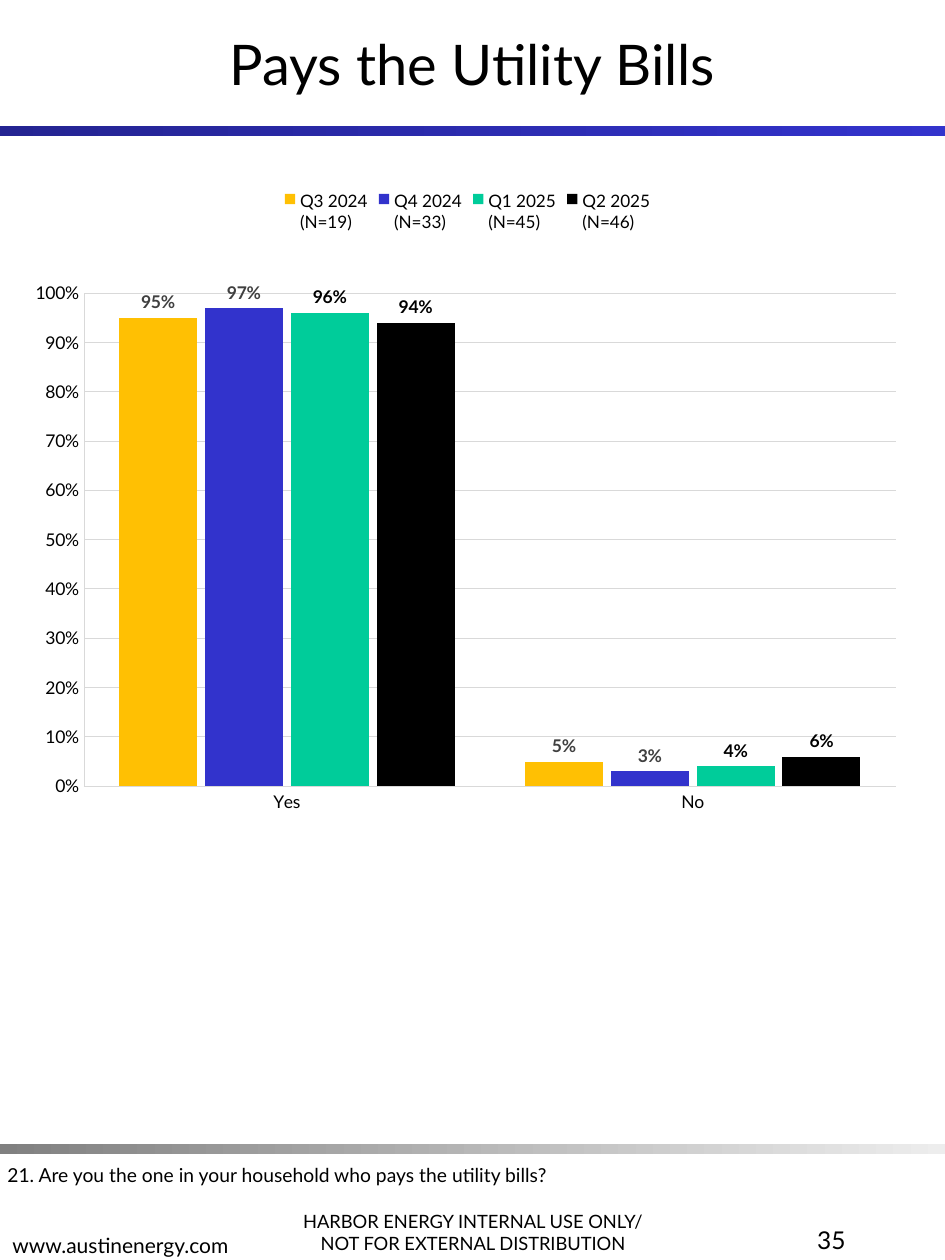
from lxml import etree
from pptx import Presentation
from pptx.chart.data import CategoryChartData
from pptx.dml.color import RGBColor
from pptx.enum.chart import XL_CHART_TYPE as ChartType, XL_LABEL_POSITION as LabelPos
from pptx.enum.chart import XL_LEGEND_POSITION as LegendPos, XL_TICK_MARK as TickMark
from pptx.enum.shapes import MSO_SHAPE as Preset
from pptx.enum.text import MSO_ANCHOR as Anchor, PP_ALIGN as Align
from pptx.oxml.ns import qn
from pptx.util import Inches, Pt

COLUMNS, ROWS = 75, 100  # grid of square cells
CELL = 0.1               # inches


def color(hex_string):
    return RGBColor.from_string(hex_string)


class SurveySlide:
    """Holds the report style and the slide being built."""
    font_name = "Lato"
    ink, grid_line = "000000", "D9D9D9"

    def __init__(self, deck):
        self.slide = deck.slides.add_slide(deck.slide_layouts[5])

    def cells(self, *lengths):
        return [Inches(n * CELL) for n in lengths]

    def style(self, font, size, hex_string=ink, bold=False):
        font.name, font.size, font.bold = self.font_name, Pt(size), bold
        font.color.rgb = color(hex_string)

    def fill_text(self, shape, text, size, align, anchor):
        frame = shape.text_frame
        frame.text = text
        frame.word_wrap = True
        frame.vertical_anchor = anchor
        for paragraph in frame.paragraphs:
            paragraph.alignment = align
            for run in paragraph.runs:
                self.style(run.font, size)

    def title(self, text, left, top, width, height):
        heading = self.slide.shapes.title
        heading.left, heading.top, heading.width, heading.height = self.cells(
            left, top, width, height)
        self.fill_text(heading, text, 32, Align.CENTER, Anchor.MIDDLE)

    def text(self, text, area, size, align=Align.LEFT, anchor=Anchor.TOP):
        box = self.slide.shapes.add_textbox(*self.cells(*area))
        self.fill_text(box, text, size, align, anchor)

    def band(self, top, start, end):
        bar = self.slide.shapes.add_shape(
            Preset.RECTANGLE, *self.cells(0, top, COLUMNS, 0.8))
        bar.shadow.inherit = False
        bar.line.fill.background()
        bar.fill.gradient()
        bar.fill.gradient_angle = 0
        for stop, shade in zip(bar.fill.gradient_stops, (start, end)):
            stop.color.rgb = color(shade)

    def line(self, line_format, width):
        line_format.color.rgb = color(self.grid_line)
        line_format.width = Pt(width)

    def place_plot(self, chart, **shares):
        """Fix the inner plot area as shares of the chart."""
        plot_area = chart.plots[0]._element.getparent()
        for old in plot_area.findall(qn("c:layout")):
            plot_area.remove(old)
        layout = etree.Element(qn("c:layout"))
        manual = etree.SubElement(layout, qn("c:manualLayout"))
        settings = {"layoutTarget": "inner", "xMode": "edge", "yMode": "edge", **shares}
        for tag, value in settings.items():
            etree.SubElement(manual, qn(f"c:{tag}")).set("val", str(value))
        plot_area.insert(0, layout)

    def column_chart(self, area, categories, series):
        data = CategoryChartData(number_format="0%")
        data.categories = categories
        for name, values, *_ in series:
            data.add_series(name, values)
        chart = self.slide.shapes.add_chart(
            ChartType.COLUMN_CLUSTERED, *self.cells(*area), data).chart
        self.style(chart.font, 10)
        chart.has_title = False

        # Legend
        chart.has_legend = True
        chart.legend.position = LegendPos.TOP
        chart.legend.include_in_layout = False
        self.style(chart.legend.font, 9.8)

        # Axes
        percent = chart.value_axis
        percent.minimum_scale, percent.maximum_scale, percent.major_unit = 0, 1, 0.1
        percent.tick_labels.number_format = "0%"
        percent.tick_labels.number_format_is_linked = False
        percent.has_major_gridlines = True
        self.line(percent.major_gridlines.format.line, 0.62)
        for axis, width in ((chart.category_axis, 0.62), (percent, 0.41)):
            axis.major_tick_mark = axis.minor_tick_mark = TickMark.NONE
            self.style(axis.tick_labels.font, 10)
            self.line(axis.format.line, width)

        # Columns and their labels
        plot = chart.plots[0]
        plot.gap_width, plot.overlap, plot.vary_by_categories = 90, -10, False
        for columns, (_, _, fill, label_color) in zip(plot.series, series):
            columns.format.fill.solid()
            columns.format.fill.fore_color.rgb = color(fill)
            columns.invert_if_negative = False
            labels = columns.data_labels
            labels.show_value = True
            labels.position = LabelPos.OUTSIDE_END
            labels.number_format = "0%"
            labels.number_format_is_linked = False
            self.style(labels.font, 10, label_color, bold=True)
        self.place_plot(chart, x=0.07, y=0.18, w=0.91, h=0.76)


def main():
    deck = Presentation()
    deck.slide_width, deck.slide_height = Inches(COLUMNS * CELL), Inches(ROWS * CELL)
    page = SurveySlide(deck)

    # Header and footer bands
    page.band(10, "242492", "3333CC")
    page.band(90.8, "808080", "EDEDED")

    # Footer
    page.text("HARBOR ENERGY INTERNAL USE ONLY/\nNOT FOR EXTERNAL DISTRIBUTION",
              (21.6, 93.3, 31.9, 6.7), 10.5, Align.CENTER, Anchor.BOTTOM)
    page.text("www.austinenergy.com", (0, 93.6, 31.9, 6.7), 12, anchor=Anchor.BOTTOM)
    page.text("35", (52.5, 96.7, 15.6, 6.7), 14, Align.RIGHT)

    # Question and its answers
    page.title("Pays the Utility Bills", 0, 0, COLUMNS, 10)
    page.text("21. Are you the one in your household who pays the utility bills?",
              (-0.4, 91.8, 68.5, 2.9), 11)
    page.column_chart((1.7, 14, 70.8, 51.5), ["Yes", "No"], [
        ("Q3 2024\n(N=19)", (0.95, 0.05), "FFC003", "404040"),
        ("Q4 2024\n(N=33)", (0.97, 0.03), "3233CC", "404040"),
        ("Q1 2025\n(N=45)", (0.96, 0.04), "00CC9A", "000000"),
        ("Q2 2025\n(N=46)", (0.94, 0.06), "000000", "000000"),
    ])
    deck.save("out.pptx")


if __name__ == "__main__":
    main()
